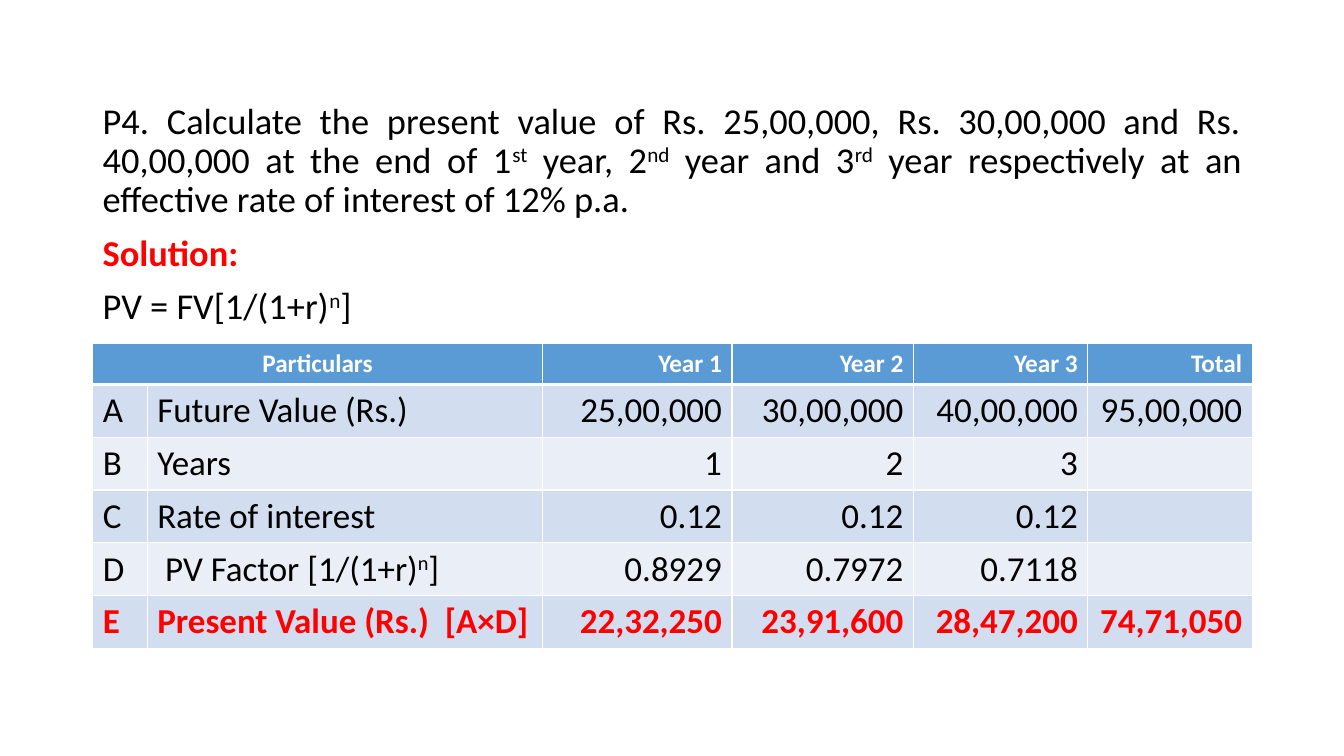
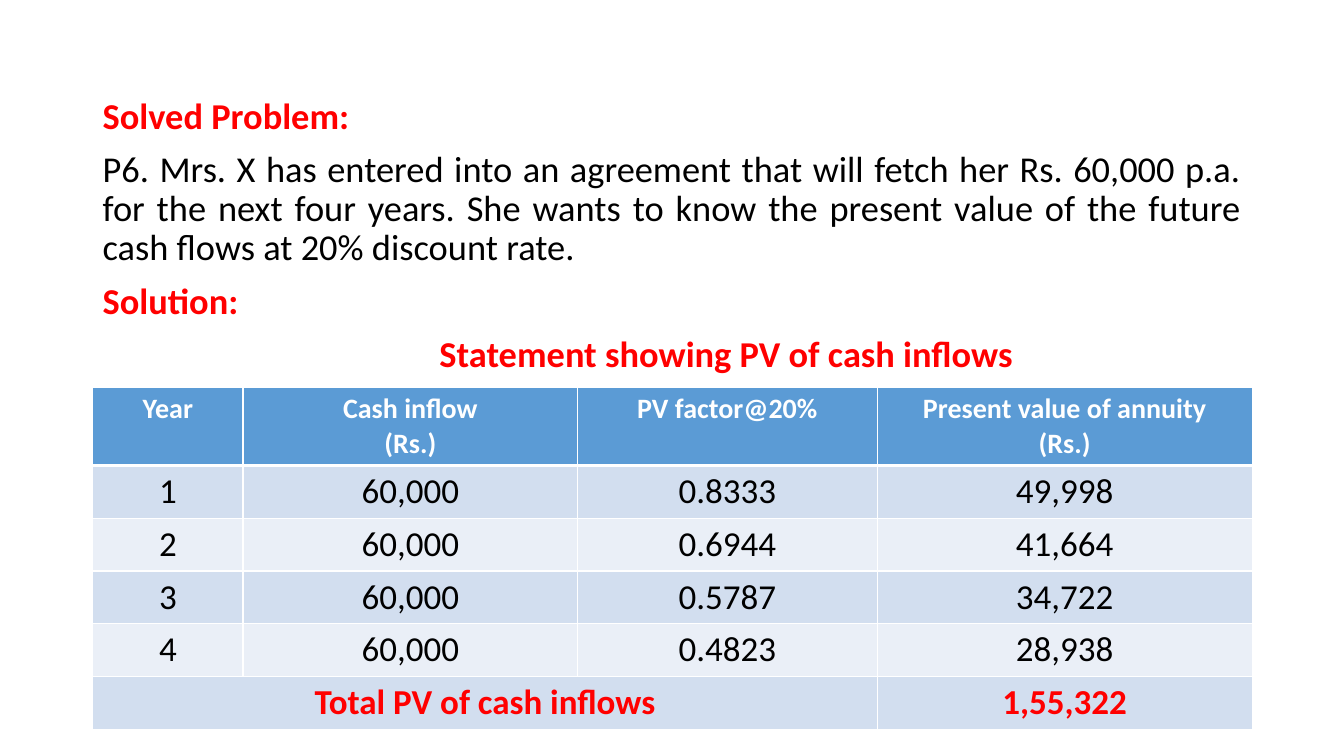
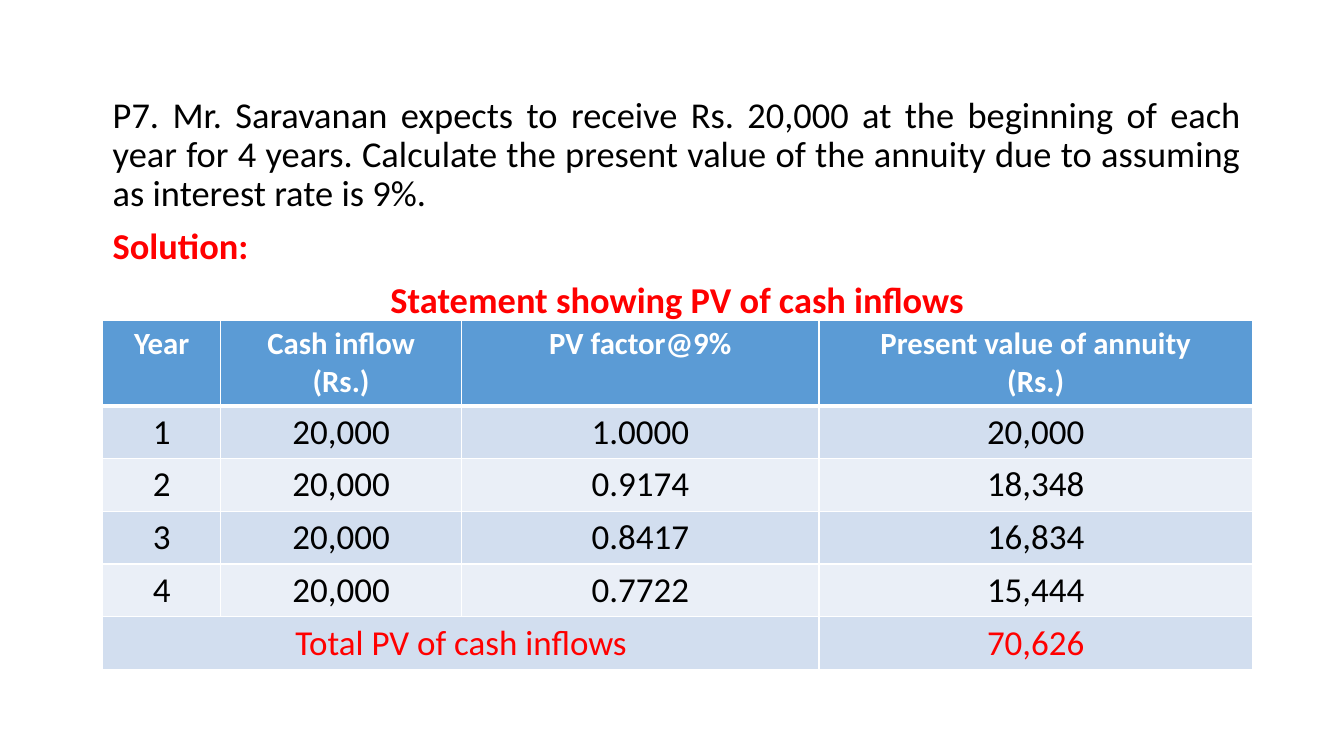
from dataclasses import dataclass

from lxml import etree
from pptx import Presentation
from pptx import util as u
from pptx.dml.color import RGBColor
from pptx.enum import text
from pptx.oxml.ns import qn


@dataclass(frozen=True)
class Theme:
    font: str = "Calibri"
    ink: str = "000000"
    accent: str = "FF0000"
    white: str = "FFFFFF"
    header: str = "5B9BD5"
    bands: tuple = ("D2DEEF", "EAEFF7")
    body_size: int = 26
    cell_size: int = 25
    line_height: float = 1.22
    thin: int = 1
    thick: int = 3


THEME = Theme()
SLIDE_SIZE = (13.33, 7.5)
LEFT, CENTER = text.PP_ALIGN.LEFT, text.PP_ALIGN.CENTER
RIGHT, JUSTIFY = text.PP_ALIGN.RIGHT, text.PP_ALIGN.JUSTIFY

# Text between carets is superscript. Paragraph: words, emphasised, alignment, left indent.
# Merge: row, first column, last column.
PROBLEMS = [
    {
        "box": (0.92, 0.97, 11.5, 5.79),
        "paragraphs": [
            ("P4. Calculate the present value of Rs. 25,00,000, Rs. 30,00,000 and Rs. 40,00,000 "
             "at the end of 1^st^ year, 2^nd^ year and 3^rd^ year respectively at an effective "
             "rate of interest of 12% p.a.", False, JUSTIFY, 0),
            ("Solution:", True, JUSTIFY, 0),
            ("PV = FV[1/(1+r)^n^]", False, JUSTIFY, 0),
        ],
        "table_top": 3.41,
        "columns": [0.54, 3.92, 1.88, 1.8, 1.73, 1.63],
        "alignments": [LEFT, LEFT, RIGHT, RIGHT, RIGHT, RIGHT],
        "header_size": 18,
        "bold_total": True,
        "merge": (0, 0, 1),
        "rows": [
            ["Particulars", "", "Year 1", "Year 2", "Year 3", "Total"],
            ["A", "Future Value (Rs.)", "25,00,000", "30,00,000", "40,00,000", "95,00,000"],
            ["B", "Years", "1", "2", "3", ""],
            ["C", "Rate of interest", "0.12", "0.12", "0.12", ""],
            ["D", " PV Factor [1/(1+r)^n^]", "0.8929", "0.7972", "0.7118", ""],
            ["E", "Present Value (Rs.)  [A×D]", "22,32,250", "23,91,600", "28,47,200",
             "74,71,050"],
        ],
    },
    {
        "box": (0.92, 0.92, 11.5, 6.4),
        "paragraphs": [
            ("Solved Problem:", True, JUSTIFY, 0),
            ("P6. Mrs. X has entered into an agreement that will fetch her Rs. 60,000 p.a. for the "
             "next four years. She wants to know the present value of the future cash flows at "
             "20% discount rate.", False, JUSTIFY, 0),
            ("Solution:", True, LEFT, 0),
            ("Statement showing PV of cash inflows", True, LEFT, 3.34),
        ],
        "table_top": 3.84,
        "columns": [1.49, 3.32, 2.97, 3.72],
        "alignments": [CENTER] * 4,
        "header_size": 20,
        "bold_total": True,
        "merge": (5, 0, 2),
        "rows": [
            ["Year", "Cash inflow\n(Rs.)", "PV factor@20%", "Present value of annuity\n(Rs.)"],
            ["1", "60,000", "0.8333", "49,998"],
            ["2", "60,000", "0.6944", "41,664"],
            ["3", "60,000", "0.5787", "34,722"],
            ["4", "60,000", "0.4823", "28,938"],
            ["Total PV of cash inflows", "", "", "1,55,322"],
        ],
    },
    {
        "box": (1.02, 0.91, 11.4, 5.85),
        "paragraphs": [
            ("P7. Mr. Saravanan expects to receive Rs. 20,000 at the beginning of each year for 4 "
             "years. Calculate the present value of the annuity due to assuming as interest rate "
             "is 9%.", False, JUSTIFY, 0),
            ("Solution:", True, LEFT, 0),
            ("Statement showing PV of cash inflows", True, CENTER, 0),
        ],
        "table_top": 3.18,
        "columns": [1.17, 2.39, 3.55, 4.3],
        "alignments": [CENTER] * 4,
        "header_size": 22,
        "bold_total": False,
        "merge": (5, 0, 2),
        "rows": [
            ["Year", "Cash inflow\n(Rs.)", "PV factor@9%", "Present value of annuity\n(Rs.)"],
            ["1", "20,000", "1.0000", "20,000"],
            ["2", "20,000", "0.9174", "18,348"],
            ["3", "20,000", "0.8417", "16,834"],
            ["4", "20,000", "0.7722", "15,444"],
            ["Total PV of cash inflows", "", "", "70,626"],
        ],
    },
]


def write(para, words, size, color, bold):
    """Add runs to a paragraph, raising the parts between carets."""
    for index, part in enumerate(words.split("^")):
        if not part:
            continue
        span = para.add_run()
        span.text = part
        look = {"name": THEME.font, "size": u.Pt(size), "bold": bold}
        for name, value in look.items():
            setattr(span.font, name, value)
        span.font.color.rgb = RGBColor.from_string(color)
        if index % 2:
            span.font._element.set("baseline", "30000")


def add_statement(slide, problem):
    box = slide.shapes.add_textbox(*map(u.Inches, problem["box"]))
    frame = box.text_frame
    frame.word_wrap = True
    for index, (words, emphasised, alignment, indent) in enumerate(problem["paragraphs"]):
        para = frame.add_paragraph() if index else frame.paragraphs[0]
        layout = {"alignment": alignment, "line_spacing": 0.9,
                  "space_before": u.Pt(10 if index else 0)}
        for name, value in layout.items():
            setattr(para, name, value)
        if indent:
            para._p.get_or_add_pPr().set("marL", str(u.Inches(indent)))
        write(para, words, THEME.body_size, THEME.accent if emphasised else THEME.ink, emphasised)


def set_borders(cell, top, bottom):
    properties = cell._tc.get_or_add_tcPr()
    widths = {"lnL": THEME.thin, "lnR": THEME.thin, "lnT": top, "lnB": bottom}
    for index, (side, width) in enumerate(widths.items()):
        line = etree.Element(qn(f"a:{side}"), w=str(u.Pt(width)))
        fill = etree.SubElement(line, qn("a:solidFill"))
        etree.SubElement(fill, qn("a:srgbClr"), val=THEME.white)
        properties.insert(index, line)


def row_height(row, size):
    lines = max(words.count("\n") + 1 for words in row)
    return u.Inches(lines * size * THEME.line_height / 72 + 0.1)


def add_schedule(slide, problem):
    rows, columns = problem["rows"], problem["columns"]
    last = len(rows) - 1
    sizes = [problem["header_size"]] + [THEME.cell_size] * last
    heights = [row_height(row, size) for row, size in zip(rows, sizes)]
    left, _, width, _ = problem["box"]
    grid = slide.shapes.add_table(
        len(rows), len(columns), u.Inches(left), u.Inches(problem["table_top"]),
        u.Inches(width), sum(heights)).table
    for column, share in zip(grid.columns, columns):
        column.width = u.Inches(width * share / sum(columns))
    merge_row, first, final = problem["merge"]
    grid.cell(merge_row, first).merge(grid.cell(merge_row, final))

    for r, row in enumerate(rows):
        grid.rows[r].height = heights[r]
        if r == 0:
            fill, color, bold = THEME.header, THEME.white, True
        else:
            fill = THEME.bands[(r - 1) % 2]
            color = THEME.accent if r == last else THEME.ink
            bold = r == last and problem["bold_total"]
        for c, words in enumerate(row):
            cell = grid.cell(r, c)
            cell.fill.solid()
            cell.fill.fore_color.rgb = RGBColor.from_string(fill)
            set_borders(cell, THEME.thick if r == 1 else THEME.thin,
                        THEME.thick if r == 0 else THEME.thin)
            merged = (r, c) == (merge_row, first)
            for index, line in enumerate(words.split("\n")):
                frame = cell.text_frame
                para = frame.add_paragraph() if index else frame.paragraphs[0]
                para.alignment = CENTER if merged else problem["alignments"][c]
                write(para, line, sizes[r], color, bold)


def main():
    deck = Presentation()
    deck.slide_width, deck.slide_height = map(u.Inches, SLIDE_SIZE)
    for problem in PROBLEMS:
        slide = deck.slides.add_slide(deck.slide_layouts[6])
        add_statement(slide, problem)
        add_schedule(slide, problem)
    deck.save("out.pptx")


if __name__ == "__main__":
    main()
